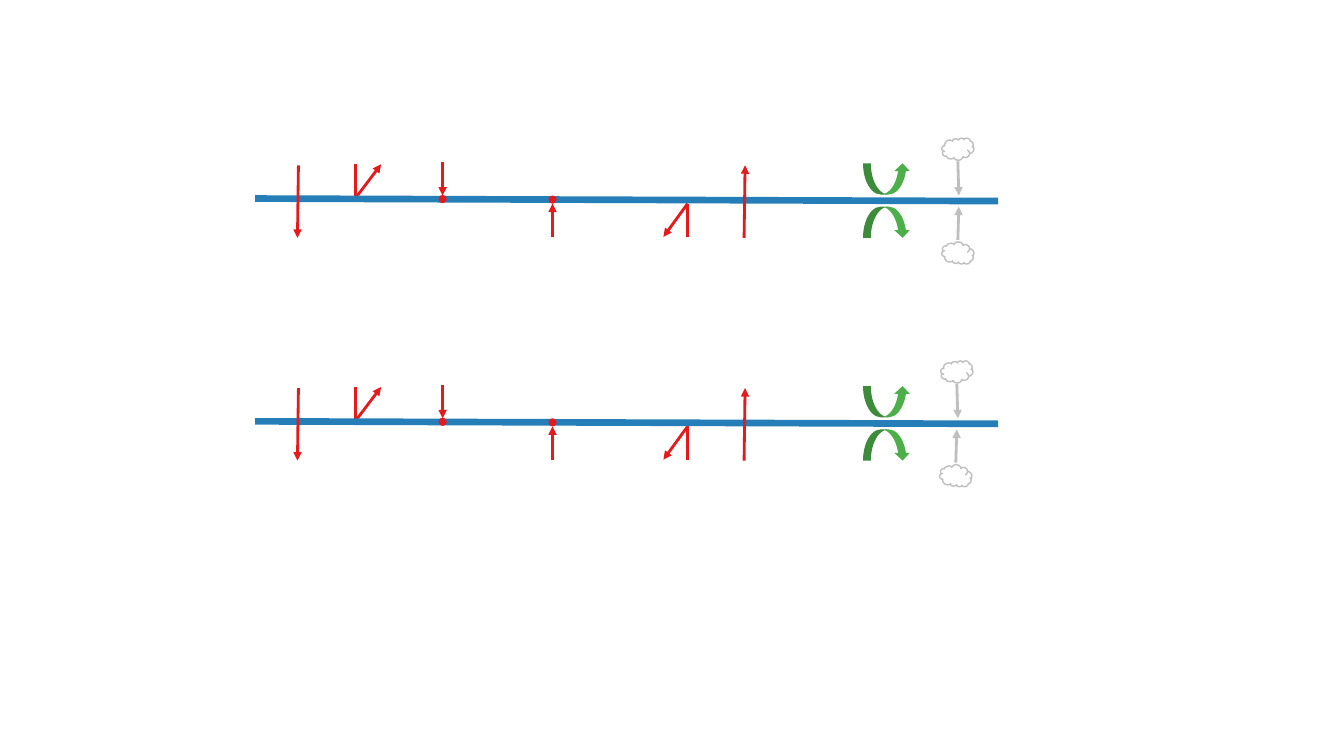
from lxml import etree
from pptx import Presentation
from pptx.dml.color import RGBColor
from pptx.enum.shapes import MSO_CONNECTOR, MSO_SHAPE as SHAPE
from pptx.oxml.ns import qn
from pptx.util import Inches, Pt

CELL = 0.1  # inches per grid cell
RED, BLUE, GREEN, GREY, WHITE = "E41A1C", "257EB8", "4DAF4A", "BFBFBF", "FFFFFF"
# Row of each membrane, with the columns of its upper and lower cloud
MEMBRANES = [(19.7, 93.4, 93.4), (41.8, 93.3, 93.2)]


def grid(*cells):
    return [Inches(c * CELL) for c in cells]


def rgb(color):
    return RGBColor.from_string(color)


def line(shapes, start, end, color=RED, width=2, head=True):
    cxn = shapes.add_connector(MSO_CONNECTOR.STRAIGHT, *grid(*start, *end))
    cxn.line.color.rgb = rgb(color)
    cxn.line.width = Pt(width)
    if head:
        ln = cxn.line._get_or_add_ln()
        etree.SubElement(ln, qn("a:tailEnd"), type="triangle")
    etree.SubElement(cxn._element.spPr, qn("a:effectLst"))


def shape(shapes, kind, x, y, w, h, fill, outline=None, flip=False):
    sp = shapes.add_shape(kind, *grid(x, y, w, h))
    sp.shadow.inherit = False
    sp.fill.solid()
    sp.fill.fore_color.rgb = rgb(fill)
    if outline:
        sp.line.color.rgb = rgb(outline)
        sp.line.width = Pt(1)
    else:
        sp.line.fill.background()
    if flip:
        sp._element.spPr.get_or_add_xfrm().set("flipV", "1")


def bounce(s, x, far, near, shift):
    """Arrow that reaches the membrane and is reflected sideways."""
    shapes = s.shapes.add_group_shape().shapes
    line(shapes, (x, near), (x + shift, far))
    line(shapes, (x, far), (x, near), head=False)


def stick(s, x, far, near, dot_top):
    """Arrow that ends at a dot on the membrane."""
    shapes = s.shapes.add_group_shape().shapes
    line(shapes, (x, far), (x, near))
    shape(shapes, SHAPE.OVAL, x - 0.4, dot_top, 0.8, 0.8, RED)


def surface_diffusion(s, y):
    shapes = s.shapes.add_group_shape().shapes
    for top, flip in ((y - 3.5, False), (y + 0.8, True)):
        shape(shapes, SHAPE.CURVED_UP_ARROW, 85.6, top, 4.7, 3.1, GREEN, flip=flip)


def cloud_source(s, x, top, far, near, flip=False):
    shape(s.shapes, SHAPE.CLOUD, x, top, 3.2, 2.2, WHITE, GREY, flip)
    line(s.shapes, (x + 1.6, far), (x + 1.7, near), GREY)


def membrane(s, y, upper_cloud, lower_cloud):
    bounce(s, 35.3, y - 3.4, y - 0.1, 2.5)
    bounce(s, 68.2, y + 3.8, y + 0.5, -2.4)
    line(s.shapes, (25.3, y), (99, y + 0.25), BLUE, 4.75, head=False)
    line(s.shapes, (73.8, y + 3.9), (73.9, y - 3.3))
    line(s.shapes, (29.6, y - 3.3), (29.5, y + 3.9))
    stick(s, 54.8, y + 3.8, y + 0.5, y - 0.3)
    stick(s, 43.9, y - 3.6, y - 0.3, y - 0.35)
    surface_diffusion(s, y)
    cloud_source(s, upper_cloud, y - 6, y - 3.7, y - 0.3)
    cloud_source(s, lower_cloud, y + 4.3, y + 4.1, y + 0.8, flip=True)


def main():
    prs = Presentation()
    prs.slide_width, prs.slide_height = Inches(13.33), Inches(7.5)
    s = prs.slides.add_slide(prs.slide_layouts[6])
    for row in MEMBRANES:
        membrane(s, *row)
    prs.save("out.pptx")


if __name__ == "__main__":
    main()
